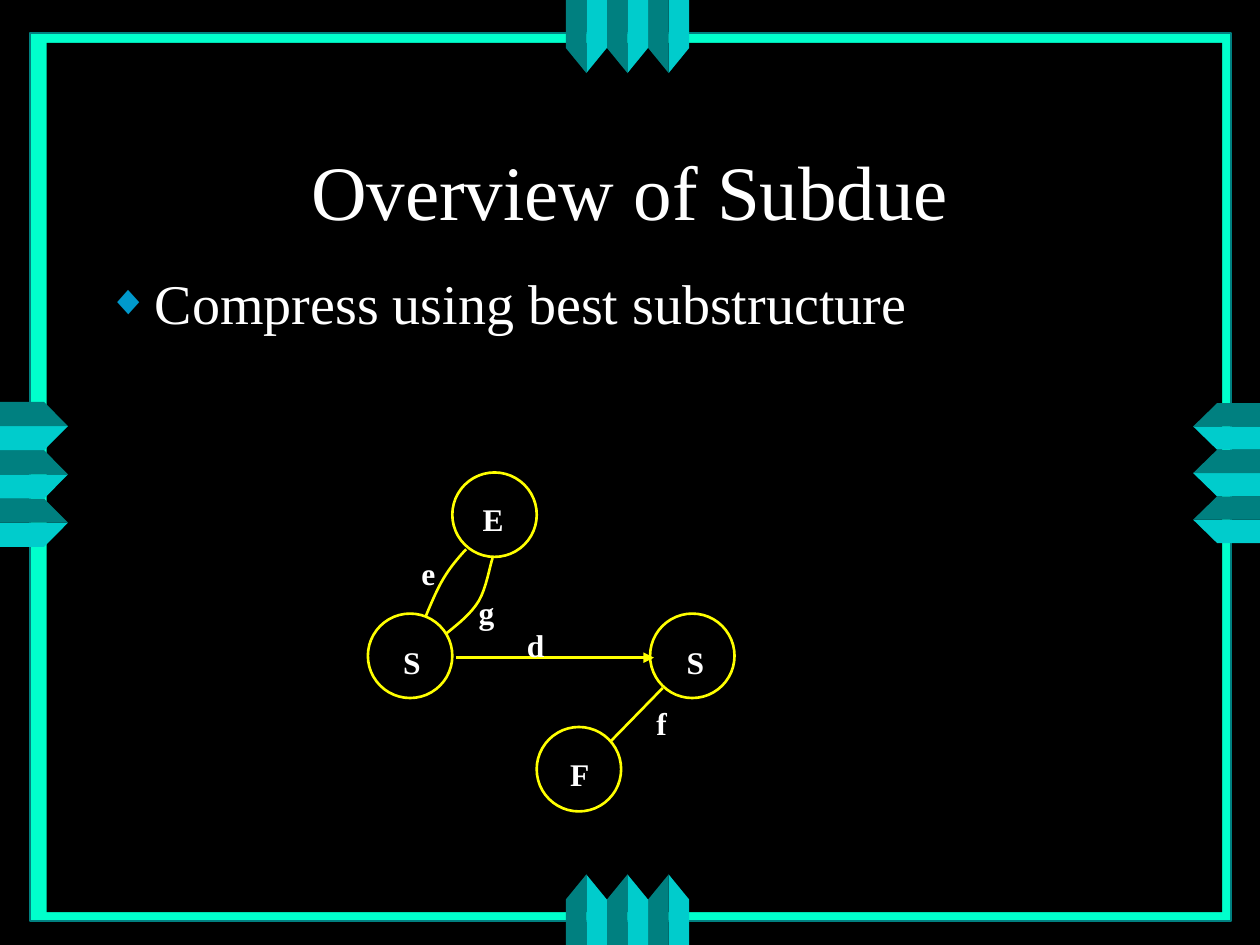
from lxml.etree import SubElement
from pptx import Presentation
from pptx.dml.color import RGBColor
from pptx.enum.shapes import MSO_CONNECTOR as CONNECTOR, MSO_SHAPE as SHAPE
from pptx.enum.text import MSO_ANCHOR as ANCHOR, MSO_AUTO_SIZE as AUTO_SIZE, PP_ALIGN as ALIGN
from pptx.oxml.ns import qn
from pptx.util import Inches, Pt

COLORS = {
    "background": "000000", "frame": "00FFCC", "dark": "008080", "light": "00CCCC",
    "text": "FFFFFF", "bullet": "0099CC", "graph": "FFFF00",
}
FONT = "Times New Roman"


def write_text(shape, text, size=18, bold=False, align=ALIGN.LEFT, anchor=ANCHOR.TOP, inset=(0, 0)):
    frame = shape.text_frame
    frame.word_wrap = True
    frame.auto_size = AUTO_SIZE.NONE
    frame.vertical_anchor = anchor
    frame.margin_left = frame.margin_right = Inches(inset[0])
    frame.margin_top = frame.margin_bottom = Inches(inset[1])
    paragraph = frame.paragraphs[0]
    paragraph.alignment = align
    run = paragraph.add_run()
    run.text = text
    run.font.name = FONT
    run.font.size = Pt(size)
    run.font.bold = bold
    run.font.color.rgb = RGBColor.from_string(COLORS["text"])
    return paragraph


def paint(shape, fill=None, line=None, width=1.5):
    shape.shadow.inherit = False
    if fill:
        shape.fill.solid()
        shape.fill.fore_color.rgb = RGBColor.from_string(COLORS[fill])
    else:
        shape.fill.background()
    if line:
        shape.line.color.rgb = RGBColor.from_string(COLORS[line])
        shape.line.width = Pt(width)
    else:
        shape.line.fill.background()


presentation = Presentation()
presentation.slide_width = Inches(10)
presentation.slide_height = Inches(7.5)
slide = presentation.slides.add_slide(presentation.slide_layouts[1])
slide.background.fill.solid()
slide.background.fill.fore_color.rgb = RGBColor.from_string(COLORS["background"])
shapes = slide.shapes

for box, fill, line in [
    ((0.24, 0.26, 9.53, 7.05), "frame", "dark"),
    ((0.37, 0.34, 9.33, 6.9), "background", None),
]:
    panel = shapes.add_shape(SHAPE.RECTANGLE, *map(Inches, box))
    paint(panel, fill, line, 1)

ribbons = [
    ("vertical", 3.19, 4.34, 0, 0.35, 0.54),
    ("horizontal", 4.49, 5.47, 0, 0.38, 0.58),
    ("horizontal", 4.49, 5.47, 7.5, 7.14, 6.94),
    ("vertical", 3.2, 4.31, 10, 9.66, 9.47),
]
for direction, start, end, edge, shoulder, tip in ribbons:
    step = (end - start) / 6
    for fold in reversed(range(6)):
        near, far = start + fold * step, start + (fold + 1) * step
        outer, ridge = (far, near) if fold % 2 else (near, far)
        points = [(outer, edge), (outer, shoulder), (ridge, tip), (ridge, edge)]
        if direction == "vertical":
            points = [(across, along) for along, across in points]
        points = [(Inches(x), Inches(y)) for x, y in points]
        builder = shapes.build_freeform(*points[0])
        builder.add_line_segments(points[1:], close=True)
        paint(builder.convert_to_shape(), "light" if fold % 2 else "dark")

title, body = slide.placeholders
for placeholder, box in [(title, (0.75, 0.67, 8.5, 1.25)), (body, (0.75, 2.08, 8.5, 4.5))]:
    placeholder.left, placeholder.top, placeholder.width, placeholder.height = map(Inches, box)
    placeholder.element.getparent().append(placeholder.element)
write_text(title, "Overview of Subdue", size=44, align=ALIGN.CENTER,
           anchor=ANCHOR.BOTTOM, inset=(0.1, 0.05))
paragraph = write_text(body, "Compress using best substructure", size=32, inset=(0.1, 0.05))
paragraph.space_before = Pt(8)
properties = paragraph._p.get_or_add_pPr()
properties.set("marL", str(Inches(0.38)))
properties.set("indent", str(Inches(-0.38)))
bullet_color = SubElement(properties, qn("a:buClr"))
SubElement(bullet_color, qn("a:srgbClr"), val=COLORS["bullet"])
SubElement(properties, qn("a:buSzPct"), val="75000")
SubElement(properties, qn("a:buFont"), typeface=FONT)
SubElement(properties, qn("a:buChar"), char="◆")

for left, top in [(2.92, 4.87), (5.16, 4.87), (4.26, 5.77), (3.59, 3.75)]:
    node = shapes.add_shape(SHAPE.OVAL, Inches(left), Inches(top), Inches(0.67), Inches(0.67))
    paint(node, line="graph")

for points, arrow in [((3.62, 5.22, 5.19, 5.22), True), ((5.26, 5.46, 4.85, 5.88), False)]:
    edge = shapes.add_connector(CONNECTOR.STRAIGHT, *map(Inches, points))
    edge.line.color.rgb = RGBColor.from_string(COLORS["graph"])
    edge.line.width = Pt(1.5)
    if arrow:
        SubElement(edge.line._get_or_add_ln(), qn("a:tailEnd"), type="triangle")
    SubElement(edge.element.spPr, qn("a:effectLst"))

curves = [
    [(3.54, 5.03), (3.64, 4.95), (3.74, 4.87), (3.8, 4.77), (3.86, 4.67), (3.89, 4.48), (3.91, 4.43)],
    [(3.38, 4.89), (3.43, 4.77), (3.48, 4.65), (3.54, 4.56), (3.59, 4.48), (3.67, 4.39), (3.7, 4.36)],
]
for controls in curves:
    points = []
    for first in (0, 3):
        for t in [step / 8 for step in range(9)]:
            weights = ((1 - t) ** 3, 3 * t * (1 - t) ** 2, 3 * t ** 2 * (1 - t), t ** 3)
            section = controls[first:first + 4]
            points.append(tuple(
                Inches(sum(weight * point[axis] for weight, point in zip(weights, section)))
                for axis in (0, 1)
            ))
    builder = shapes.build_freeform(*points[0])
    builder.add_line_segments(points[1:], close=False)
    paint(builder.convert_to_shape(), line="graph")

labels = [
    ("S", 3.2, 5.1, 0.39, 0.45, ALIGN.LEFT), ("S", 5.45, 5.1, 0.39, 0.45, ALIGN.LEFT),
    ("F", 4.49, 5.99, 0.22, 0.22, ALIGN.CENTER), ("E", 3.58, 3.97, 0.67, 0.19, ALIGN.CENTER),
    ("f", 5.14, 5.59, 0.22, 0.22, ALIGN.CENTER), ("d", 4.14, 4.97, 0.22, 0.22, ALIGN.CENTER),
    ("e", 3.29, 4.4, 0.22, 0.22, ALIGN.CENTER), ("g", 3.75, 4.71, 0.22, 0.32, ALIGN.CENTER),
]
for text, left, top, width, height, align in labels:
    label = shapes.add_textbox(Inches(left), Inches(top), Inches(width), Inches(height))
    write_text(label, text, bold=True, align=align)

presentation.save("out.pptx")
